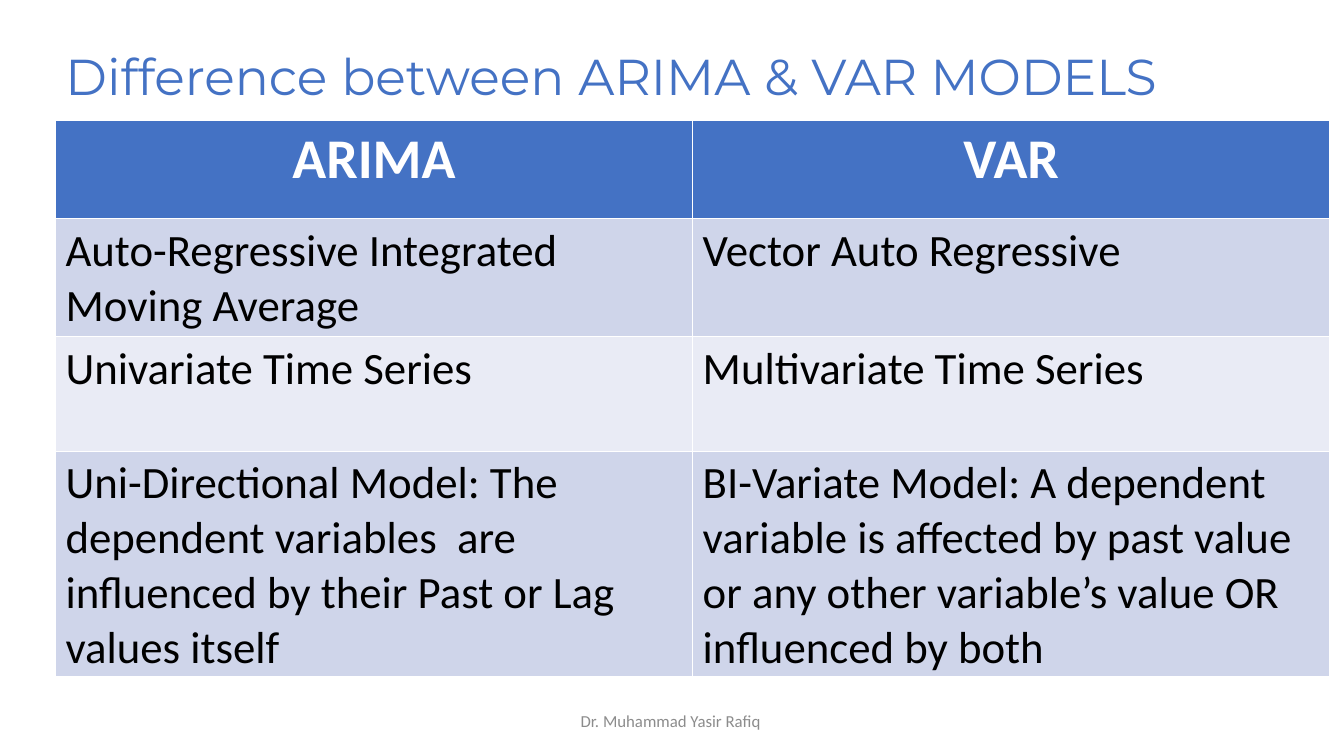
import pptx
import pptx.util
import pptx.dml.color
import pptx.enum.text
from dataclasses import dataclass

Inches = pptx.util.Inches
Align = pptx.enum.text.PP_ALIGN
Anchor = pptx.enum.text.MSO_ANCHOR


@dataclass(frozen=True)
class Theme:
    blue: str = "4472C4"
    white: str = "FFFFFF"
    black: str = "000000"
    grey: str = "8C8C8C"
    bands: tuple = ("CFD5EA", "E9EBF5")
    body: str = "Calibri"
    head: str = "Montserrat"
    title: int = 36
    gap: int = 44
    label: int = 40
    text: int = 32
    foot: int = 12


THEME = Theme()
TITLE = ["Difference", "between", "ARIMA", "& VAR MODELS"]
ROWS = [
    ("ARIMA", "VAR"),
    ("Auto-Regressive Integrated Moving Average", "Vector Auto Regressive"),
    ("Univariate Time Series", "Multivariate Time Series"),
    ("Uni-Directional Model: The dependent variables  are influenced by "
     "their Past or Lag values itself",
     "BI-Variate Model: A dependent variable is affected by past value or "
     "any other variable’s value OR influenced by both"),
]
HEIGHTS = [0.98, 1.14, 1.14, 1.72]


def paint(code):
    return pptx.dml.color.RGBColor.from_string(code)


def style(font, name, size, color, bold=False):
    font.name = name
    font.size = pptx.util.Pt(size)
    font.color.rgb = paint(color)
    font.bold = bold


def add_box(slide, box):
    frame = slide.shapes.add_textbox(*map(Inches, box)).text_frame
    frame.word_wrap = True
    frame.vertical_anchor = Anchor.MIDDLE
    return frame.paragraphs[0]


def add_title(slide, box):
    para = add_box(slide, box)
    para.line_spacing = 0.9
    for i, part in enumerate(TITLE):
        if i:
            gap = para.add_run()
            gap.text = " "
            style(gap.font, THEME.body, THEME.gap, THEME.black)
        run = para.add_run()
        run.text = part
        style(run.font, THEME.head, THEME.title, THEME.blue)


def add_grid(slide, box):
    table = slide.shapes.add_table(len(ROWS), 2, *map(Inches, box)).table
    for col in table.columns:
        col.width = Inches(box[2] / 2)
    for r, (row, high) in enumerate(zip(ROWS, HEIGHTS)):
        table.rows[r].height = Inches(high)
        for c, text in enumerate(row):
            cell = table.cell(r, c)
            cell.text = text
            cell.fill.solid()
            para = cell.text_frame.paragraphs[0]
            if r == 0:
                cell.fill.fore_color.rgb = paint(THEME.blue)
                para.alignment = Align.CENTER
                style(para.font, THEME.body, THEME.label, THEME.white, True)
            else:
                cell.fill.fore_color.rgb = paint(THEME.bands[(r - 1) % 2])
                style(para.font, THEME.body, THEME.text, THEME.black)


def add_foot(slide, box):
    para = add_box(slide, box)
    para.text = "Dr. Muhammad Yasir Rafiq "
    para.alignment = Align.CENTER
    style(para.font, THEME.body, THEME.foot, THEME.grey)


def main():
    deck = pptx.Presentation()
    deck.slide_width = Inches(13.33)
    deck.slide_height = Inches(7.5)
    slide = deck.slides.add_slide(deck.slide_layouts[6])
    add_title(slide, (0.55, 0.29, 12.22, 0.91))
    add_grid(slide, (0.55, 1.19, 12.64, sum(HEIGHTS)))
    add_foot(slide, (4.42, 6.95, 4.5, 0.4))
    deck.save("out.pptx")


if __name__ == "__main__":
    main()
